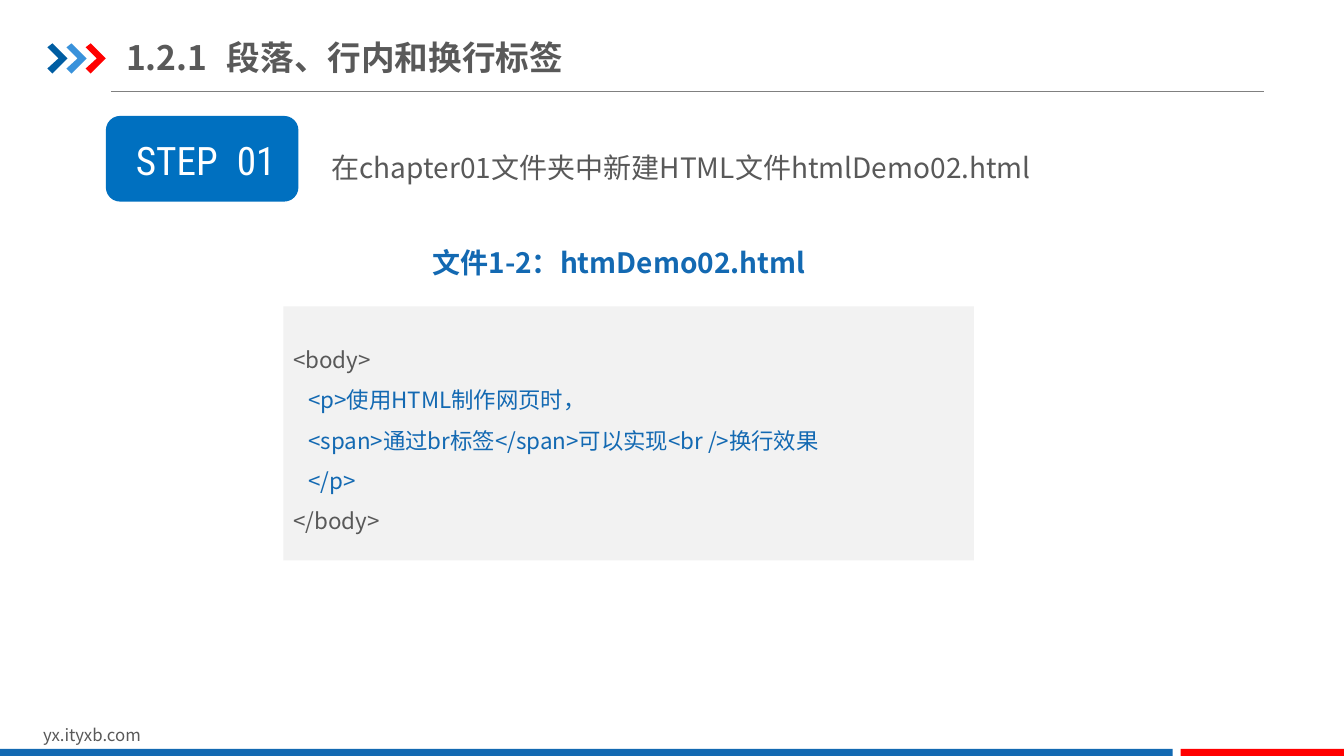
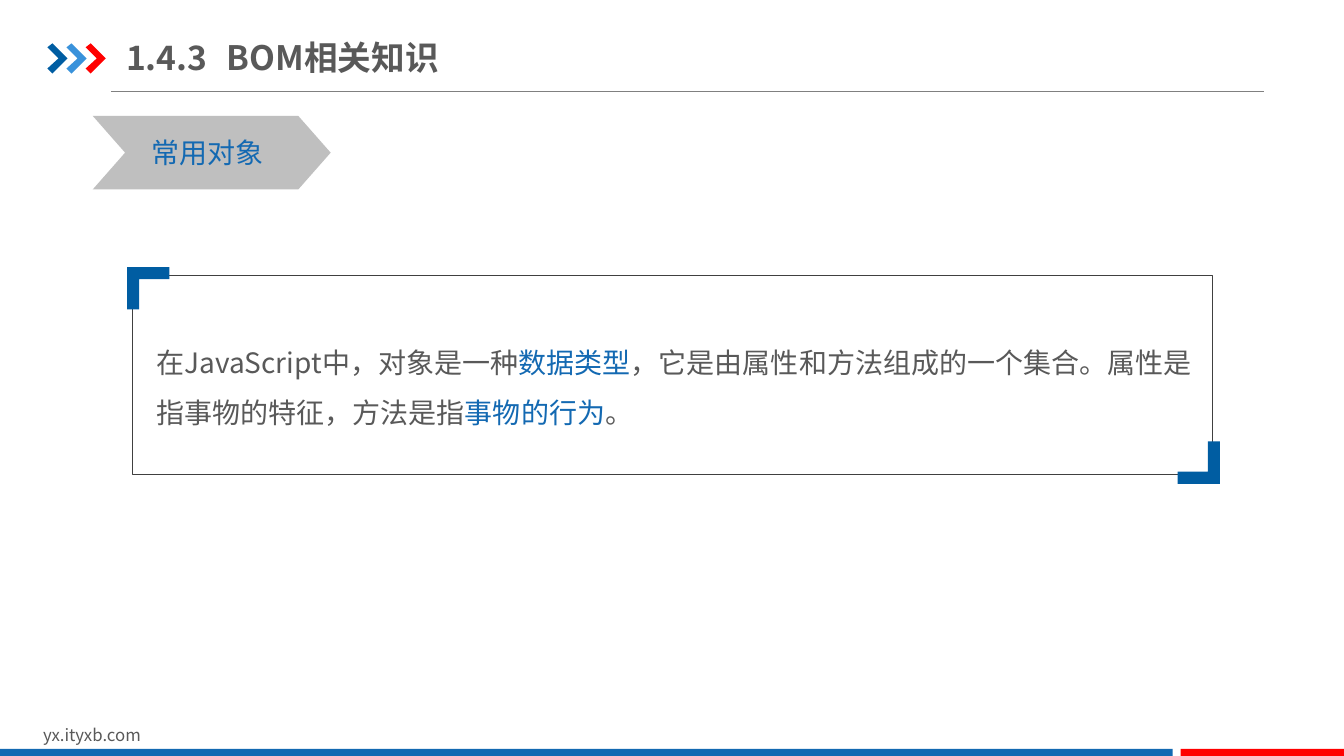
from dataclasses import dataclass

from lxml import etree
from pptx import Presentation
from pptx.dml.color import RGBColor
from pptx.enum.lang import MSO_LANGUAGE_ID as LANG
from pptx.enum.shapes import MSO_CONNECTOR as CONN, MSO_SHAPE as SHAPE
from pptx.enum.text import MSO_ANCHOR as ANCHOR, MSO_AUTO_SIZE as AUTO, PP_ALIGN as ALIGN
from pptx.oxml.ns import qn
from pptx.util import Inches, Pt


@dataclass(frozen=True)
class Theme:
    text: str = "595959"
    blue: str = "1369B2"
    deep: str = "005DA2"
    sky: str = "3992DB"
    red: str = "FF0000"
    step: str = "0070C0"
    rule: str = "808080"
    frame: str = "404040"
    tag: str = "BFBFBF"
    panel: str = "F2F2F2"
    white: str = "FFFFFF"
    font: str = "Noto Sans CJK SC"
    step_font: str = "Roboto Condensed"
    title_size: int = 24
    step_size: int = 28
    body_size: int = 20
    code_size: int = 16
    foot_size: int = 12
    spacing: float = 1.5
    tab: float = 1.0


T = Theme()
BODY_INSETS = (0.1, 0.05, 0.1, 0.05)


class Deck:
    def __init__(self):
        self.prs = Presentation()
        self.prs.slide_width = Inches(13.33)
        self.prs.slide_height = Inches(7.5)
        self.s = None

    def add_slide(self, title):
        self.s = self.prs.slides.add_slide(self.prs.slide_layouts[5])
        self.rule(1.1, 0.91, 12.54)
        for i, color in enumerate((T.deep, T.sky, T.red)):
            self.arrow(0.47 + i * 0.19, 0.43, color)
        self.text((0.33, 7.14, 3.18, 0.3), ["yx.ityxb.com"], size=T.foot_size)
        self.shape(SHAPE.RECTANGLE, (0, 7.43, 11.63, 0.09), T.blue)
        self.shape(SHAPE.RECTANGLE, (11.71, 7.43, 1.62, 0.09), T.red)
        sp = self.s.shapes.title
        self.place(sp, (1.25, 0.29, 4.55, 0.55))
        self.set_text(sp, [title], insets=(0, 0.07, 0, 0.07), anchor=ANCHOR.MIDDLE,
                      size=T.title_size, bold=True, tab=T.tab)

    def place(self, sp, box):
        for name, value in zip(("left", "top", "width", "height"), box):
            setattr(sp, name, Inches(value))

    def set_text(self, sp, lines, size=T.body_size, color=T.text, font=T.font,
                 bold=False, spacing=None, tab=None, insets=BODY_INSETS,
                 anchor=ANCHOR.TOP, wrap=True):
        tf = sp.text_frame
        frame = dict(zip(("margin_left", "margin_top", "margin_right", "margin_bottom"),
                         map(Inches, insets)),
                     word_wrap=wrap, auto_size=AUTO.NONE, vertical_anchor=anchor)
        for name, value in frame.items():
            setattr(tf, name, value)
        style = {"name": font, "size": Pt(size), "bold": bold,
                 "language_id": LANG.SIMPLIFIED_CHINESE}
        for i, line in enumerate(lines):
            p = tf.paragraphs[0] if i == 0 else tf.add_paragraph()
            p.alignment = ALIGN.LEFT
            if spacing:
                p.line_spacing = spacing
            if tab:
                tabs = etree.SubElement(p._p.get_or_add_pPr(), qn("a:tabLst"))
                etree.SubElement(tabs, qn("a:tab"), pos=str(Inches(tab)), algn="l")
            for part in [line] if isinstance(line, str) else line:
                words, tint = (part, color) if isinstance(part, str) else part
                r = p.add_run()
                r.text = words
                for name, value in style.items():
                    setattr(r.font, name, value)
                r.font.color.rgb = RGBColor.from_string(tint)
                etree.SubElement(r._r.get_or_add_rPr(), qn("a:ea"), typeface=font)

    def text(self, box, lines, **style):
        sp = self.s.shapes.add_textbox(*map(Inches, box))
        self.set_text(sp, lines, **style)

    def paint(self, sp, fill=None, line=None):
        sp.shadow.inherit = False
        if fill:
            sp.fill.solid()
            sp.fill.fore_color.rgb = RGBColor.from_string(fill)
        else:
            sp.fill.background()
        if line:
            sp.line.color.rgb = RGBColor.from_string(line)
            sp.line.width = Pt(0.25)
        else:
            sp.line.fill.background()

    def shape(self, kind, box, fill=None, line=None, adj=None):
        sp = self.s.shapes.add_shape(kind, *map(Inches, box))
        self.paint(sp, fill, line)
        if adj is not None:
            sp.adjustments[0] = adj
        return sp

    def outline(self, points, fill):
        start, *rest = [(Inches(x), Inches(y)) for x, y in points]
        builder = self.s.shapes.build_freeform(*start)
        builder.add_line_segments(rest)
        self.paint(builder.convert_to_shape(), fill)

    def arrow(self, x, y, fill):
        offsets = ((0, 0.04), (0.05, 0), (0.2, 0.15), (0.05, 0.3), (0, 0.25), (0.11, 0.15))
        self.outline([(x + dx, y + dy) for dx, dy in offsets], fill)

    def corner(self, x, y, sign):
        offsets = ((0, 0), (0.42, 0), (0.42, 0.12), (0.12, 0.12), (0.12, 0.42), (0, 0.42))
        self.outline([(x + sign * dx, y + sign * dy) for dx, dy in offsets], T.deep)

    def rule(self, x1, y, x2):
        ln = self.s.shapes.add_connector(CONN.STRAIGHT, *map(Inches, (x1, y, x2, y)))
        ln.line.color.rgb = RGBColor.from_string(T.rule)
        ln.line.width = Pt(0.75)
        etree.SubElement(ln._element.spPr, qn("a:effectLst"))

    def code(self, box, lines):
        sp = self.shape(SHAPE.RECTANGLE, box, T.panel)
        self.set_text(sp, lines, size=T.code_size, spacing=T.spacing, anchor=ANCHOR.MIDDLE)


def paragraph_slide(deck):
    deck.add_slide("1.2.1\t段落、行内和换行标签")
    deck.shape(SHAPE.ROUNDED_RECTANGLE, (1.05, 1.15, 1.91, 0.85), T.step)
    deck.text((1.25, 1.3, 1.68, 0.57), ["STEP\t01"], size=T.step_size,
              color=T.white, font=T.step_font, tab=T.tab)
    deck.text((3.19, 1.28, 8.68, 0.55),
              ["在chapter01文件夹中新建HTML文件htmlDemo02.html"], spacing=T.spacing)
    deck.text((4.19, 2.22, 4.94, 0.61), ["文件1-2：htmDemo02.html"],
              color=T.blue, bold=True, spacing=T.spacing)
    deck.code((2.81, 3.04, 6.85, 2.52), [
        "<body>",
        [("   <p>使用HTML制作网页时，", T.blue)],
        [("   <span>通过br标签</span>可以实现<br />换行效果", T.blue)],
        [("   </p>", T.blue)],
        "</body>",
    ])


def bom_slide(deck):
    deck.add_slide("1.4.3\tBOM相关知识")
    deck.shape(SHAPE.CHEVRON, (0.92, 1.15, 2.36, 0.73), T.tag, adj=0.44)
    deck.text((1.4, 1.3, 1.32, 0.44), ["常用对象"], color=T.blue, wrap=False)
    deck.text((1.55, 3.26, 10.4, 0.95), [[
        "在JavaScript中，对象是一种",
        ("数据类型", T.blue),
        "，它是由属性和方法组成的一个集合。属性是指事物的特征，方法是指",
        ("事物的行为", T.blue),
        "。",
    ]], spacing=T.spacing, insets=(0, 0, 0, 0))
    deck.shape(SHAPE.ROUNDED_RECTANGLE, (1.31, 2.73, 10.71, 1.97), line=T.frame, adj=0)
    deck.corner(1.26, 2.65, 1)
    deck.corner(12.1, 4.8, -1)


def main():
    deck = Deck()
    paragraph_slide(deck)
    bom_slide(deck)
    deck.prs.save("out.pptx")


if __name__ == "__main__":
    main()
